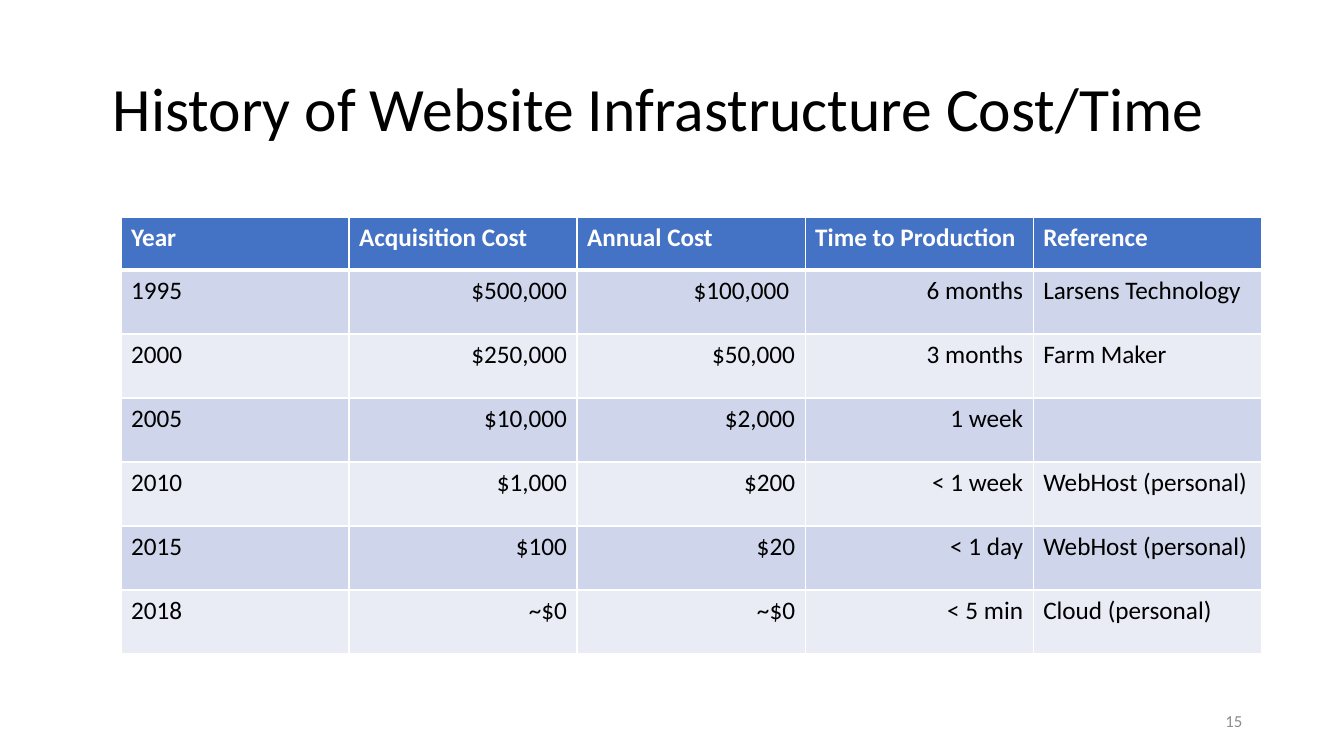
"""Build a slide with a table of website infrastructure cost and time."""
from dataclasses import dataclass

from lxml import etree
from pptx import Presentation
from pptx.dml.color import RGBColor
from pptx.enum.text import MSO_ANCHOR, PP_ALIGN
from pptx.oxml.ns import qn
from pptx.slide import Slide
from pptx.table import _Cell
from pptx.text.text import _Paragraph
from pptx.util import Inches, Pt

LEFT, RIGHT = PP_ALIGN.LEFT, PP_ALIGN.RIGHT
MIDDLE = MSO_ANCHOR.MIDDLE


@dataclass(frozen=True)
class Theme:
    """Hold the font, colours and type sizes."""
    font: str = "Calibri"
    ink: str = "000000"
    paper: str = "FFFFFF"
    muted: str = "8C8C8C"
    head: str = "4472C4"
    bands: tuple[str, str] = ("CFD5EA", "E9EBF5")
    title: int = 44
    body: int = 18
    small: int = 12
    thin: int = 1
    thick: int = 3


@dataclass(frozen=True)
class Label:
    """Describe a text box."""
    text: str
    box: tuple[float, float, float, float]
    size: int
    color: str
    align: PP_ALIGN = LEFT
    pitch: float = 1.0


@dataclass(frozen=True)
class Column:
    """Describe a table column."""
    head: str
    align: PP_ALIGN


THEME = Theme()
LABELS = (
    Label("History of Website Infrastructure Cost/Time",
          (1.02, 0.31, 11.67, 1.59), THEME.title, THEME.ink, pitch=0.9),
    Label("15", (9.42, 6.95, 3, 0.4), THEME.small, THEME.muted, RIGHT),
)
COLUMNS = (
    Column("Year", LEFT),
    Column("Acquisition Cost", RIGHT),
    Column("Annual Cost", RIGHT),
    Column("Time to Production", RIGHT),
    Column("Reference", LEFT),
)
ROWS = (
    ("1995", "$500,000", "$100,000 ", "6 months", "Larsens Technology"),
    ("2000", "$250,000", "$50,000", "3 months", "Farm Maker"),
    ("2005", "$10,000", "$2,000", "1 week", ""),
    ("2010", "$1,000", "$200", "< 1 week", "WebHost (personal)"),
    ("2015", "$100", "$20", " < 1 day", "WebHost (personal)"),
    ("2018", "~$0", "~$0", "< 5 min", "Cloud (personal)"),
)
TABLE_LEFT, TABLE_TOP, TABLE_WIDTH = 1.2, 2.16, 11.31
HEAD_HEIGHT, ROW_HEIGHT = 0.52, 0.635


def add_text(para: _Paragraph, text: str, size: int, color: str,
             bold: bool = False) -> None:
    """Add one styled run to a paragraph."""
    run = para.add_run()
    run.text = text
    run.font.name = THEME.font
    run.font.size = Pt(size)
    run.font.bold = bold
    run.font.color.rgb = RGBColor.from_string(color)


def add_label(slide: Slide, label: Label) -> None:
    """Draw a text box centred on its height."""
    frame = slide.shapes.add_textbox(*map(Inches, label.box)).text_frame
    frame.word_wrap = True
    frame.vertical_anchor = MIDDLE
    para = frame.paragraphs[0]
    para.alignment = label.align
    para.line_spacing = label.pitch
    add_text(para, label.text, label.size, label.color)


def add_edge(cell: _Cell, side: str, width: int) -> None:
    """Draw one border of a cell."""
    props = cell._tc.get_or_add_tcPr()
    line = etree.SubElement(props, qn(f"a:ln{side}"), w=str(Pt(width)))
    fill = etree.SubElement(line, qn("a:solidFill"))
    etree.SubElement(fill, qn("a:srgbClr"), val=THEME.paper)


def fill_cell(cell: _Cell, text: str, align: PP_ALIGN, row: int) -> None:
    """Style a cell by its row and write its text."""
    is_head = row == 0
    top = THEME.thick if row == 1 else THEME.thin
    base = THEME.thick if is_head else THEME.thin
    for side, width in zip("LRTB", (THEME.thin, THEME.thin, top, base)):
        add_edge(cell, side, width)
    color = THEME.head if is_head else THEME.bands[(row - 1) % 2]
    cell.fill.solid()
    cell.fill.fore_color.rgb = RGBColor.from_string(color)
    para = cell.text_frame.paragraphs[0]
    para.alignment = LEFT if is_head else align
    if text:
        ink = THEME.paper if is_head else THEME.ink
        add_text(para, text, THEME.body, ink, is_head)


def add_costs(slide: Slide) -> None:
    """Draw the table of costs."""
    lines = (tuple(col.head for col in COLUMNS), *ROWS)
    height = HEAD_HEIGHT + ROW_HEIGHT * len(ROWS)
    table = slide.shapes.add_table(
        len(lines), len(COLUMNS), Inches(TABLE_LEFT), Inches(TABLE_TOP),
        Inches(TABLE_WIDTH), Inches(height)).table
    for col in table.columns:
        col.width = Inches(TABLE_WIDTH / len(COLUMNS))
    for row, line in enumerate(lines):
        table.rows[row].height = Inches(ROW_HEIGHT if row else HEAD_HEIGHT)
        for index, (text, col) in enumerate(zip(line, COLUMNS)):
            fill_cell(table.cell(row, index), text, col.align, row)


def main() -> None:
    """Build and save the slide."""
    deck = Presentation()
    deck.slide_width, deck.slide_height = Inches(13.33), Inches(7.5)
    slide = deck.slides.add_slide(deck.slide_layouts[6])
    for label in LABELS:
        add_label(slide, label)
    add_costs(slide)
    deck.save("out.pptx")


if __name__ == "__main__":
    main()
